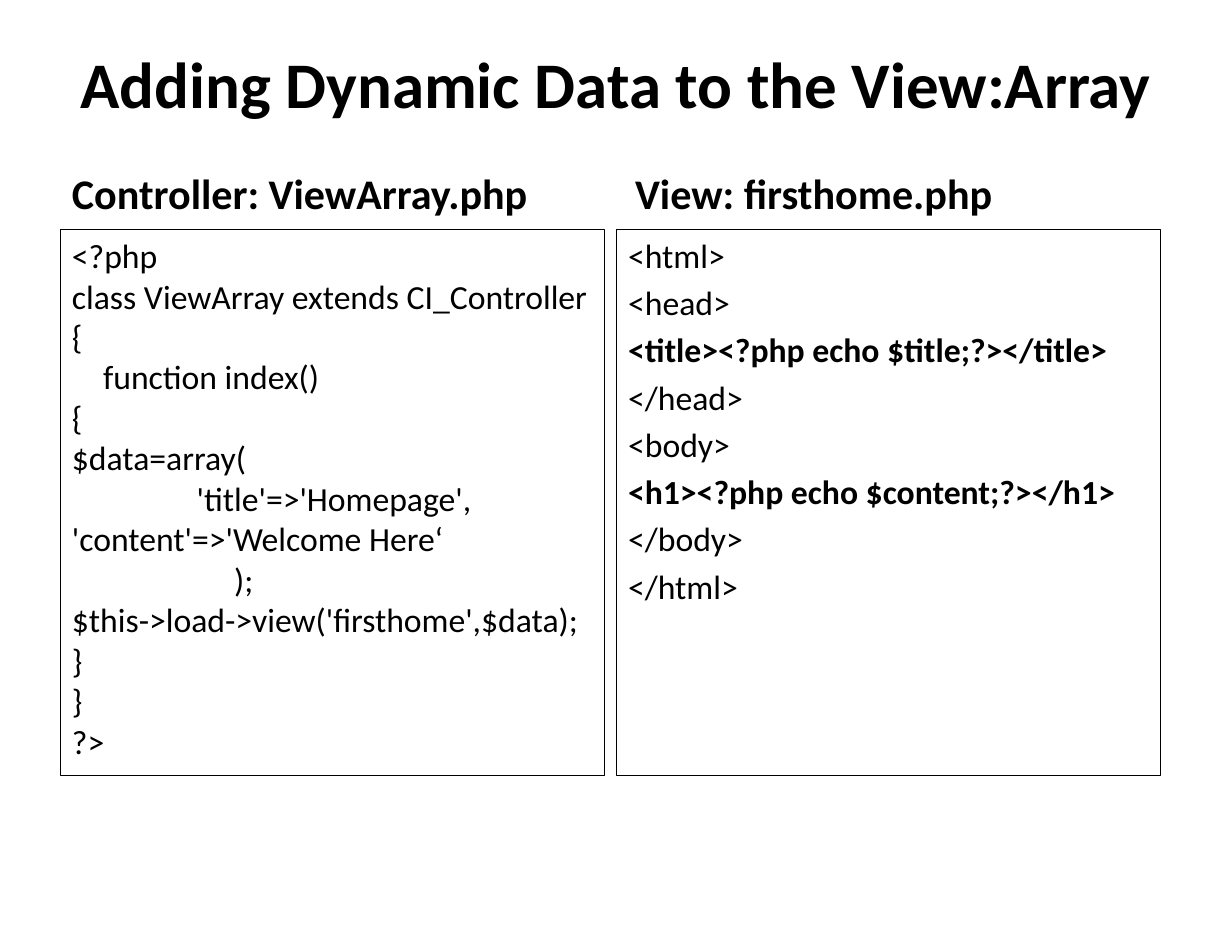
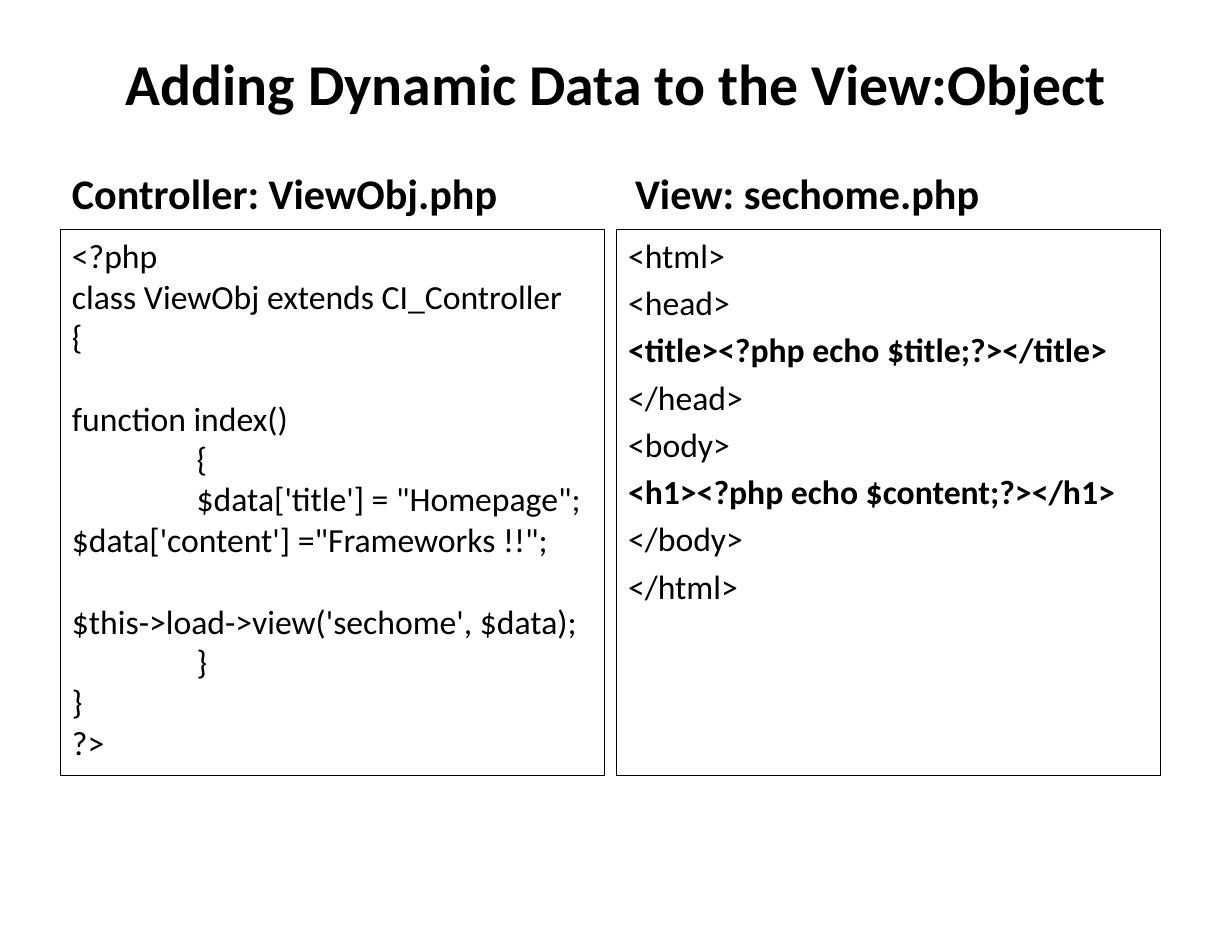
from pptx import Presentation
from pptx.dml.color import RGBColor
from pptx.enum.text import MSO_ANCHOR, MSO_AUTO_SIZE, PP_ALIGN
from pptx.oxml.ns import qn
from pptx.util import Inches, Pt

TOP, MID, BOTTOM = MSO_ANCHOR.TOP, MSO_ANCHOR.MIDDLE, MSO_ANCHOR.BOTTOM
FIXED = MSO_AUTO_SIZE.NONE
CENTER, LEFT = PP_ALIGN.CENTER, PP_ALIGN.LEFT

THEME = {"font": "Calibri", "ink": RGBColor(0, 0, 0), "head": 35, "code": 28,
         "rule": 0.25}

# Content: code lines are (text, first-line indent in tabs, blank rows above)
VIEW = ["<html>", "<head>", "<title><?php echo $title;?></title>", "</head>",
        "<body>", "<h1><?php echo $content;?></h1>", "</body>", "</html>"]
PAGES = [
    {"title": "Adding Dynamic Data to the View:Array", "size": 54,
     "heads": ["Controller: ViewArray.php", "View: firsthome.php"],
     "code": [("<?php", 0, 0),
              ("class ViewArray extends CI_Controller", 0, 0),
              ("{", 0, 0),
              ("function index()", 0.25, 0),
              ("{", 0, 0),
              ("$data=array(", 0, 0),
              ("'title'=>'Homepage',", 1, 0),
              ("'content'=>'Welcome Here‘", 0, 0),
              (");", 1.3, 0),
              ("$this->load->view('firsthome',$data);", 0, 0),
              ("}", 0, 0),
              ("}", 0, 0),
              ("?>", 0, 0)]},
    {"title": "Adding Dynamic Data to the View:Object", "size": 48,
     "heads": ["Controller: ViewObj.php", "View: sechome.php"],
     "code": [("<?php", 0, 0),
              ("class ViewObj extends CI_Controller", 0, 0),
              ("{", 0, 0),
              ("function index()", 0, 1),
              ("{", 1, 0),
              ("$data['title'] = \"Homepage\";", 1, 0),
              ("$data['content'] =\"Frameworks !!\";", 0, 0),
              ("$this->load->view('sechome', $data);", 0, 1),
              ("}", 1, 0),
              ("}", 0, 0),
              ("?>", 0, 0)]},
]

# Grid, in inches
WIDE, HIGH = 14.22, 10.94
EDGE, COL = 0.69, 6.28
TAB = 1.44
ROW = THEME["code"] * 1.22
TITLE = (0.71, 0.44, WIDE - 2 * 0.71, 1.03)
HEADS = [(x, 1.56, COL, 1.02) for x in (EDGE, EDGE + COL + 0.22)]
BOXES = [(x, 2.64, COL, 6.31) for x in (EDGE, EDGE + COL + 0.14)]


def fill(shape, area, lines, size, anchor, align=LEFT):
    """Place a placeholder and set its lines in the shared style."""
    shape.left, shape.top, shape.width, shape.height = map(Inches, area)
    frame = shape.text_frame
    frame.text = "\n".join(lines)
    frame.word_wrap = True
    frame.auto_size = FIXED
    frame.vertical_anchor = anchor
    frame.margin_left = frame.margin_right = Inches(0.14)
    frame.margin_top = frame.margin_bottom = Inches(0.07)
    for para in frame.paragraphs:
        para.alignment = align
        for run in para.runs:
            font = run.font
            font.name, font.size = THEME["font"], Pt(size)
            font.color.rgb = THEME["ink"]
            font.bold = size != THEME["code"]
    return frame.paragraphs


def plain(para, tabs=0):
    """Drop the bullet and indent the first line."""
    props = para._p.get_or_add_pPr()
    props.set("marL", "0")
    props.set("indent", str(Inches(tabs * TAB)))
    props.append(props.makeelement(qn("a:buNone"), {}))


def frame_box(shape):
    shape.line.color.rgb = THEME["ink"]
    shape.line.width = Pt(THEME["rule"])


def build(deck, page):
    slide = deck.slides.add_slide(deck.slide_layouts[4])
    title, head1, box1, head2, box2 = slide.placeholders
    fill(title, TITLE, [page["title"]], page["size"], MID, CENTER)
    for head, area, text in zip((head1, head2), HEADS, page["heads"]):
        fill(head, area, [text], THEME["head"], BOTTOM)

    # Controller code: tight rows, indents from the data
    code = page["code"]
    paras = fill(box1, BOXES[0], [row[0] for row in code], THEME["code"], TOP)
    for para, (_, tabs, gap) in zip(paras, code):
        para.space_before = Pt(gap * ROW)
        plain(para, tabs)

    # View code: rows that echo data are bold
    for para in fill(box2, BOXES[1], VIEW, THEME["code"], TOP):
        plain(para)
        para.runs[0].font.bold = "echo" in para.text

    for box in (box1, box2):
        frame_box(box)


def main():
    deck = Presentation()
    deck.slide_width, deck.slide_height = Inches(WIDE), Inches(HIGH)
    for page in PAGES:
        build(deck, page)
    deck.save("out.pptx")


if __name__ == "__main__":
    main()
